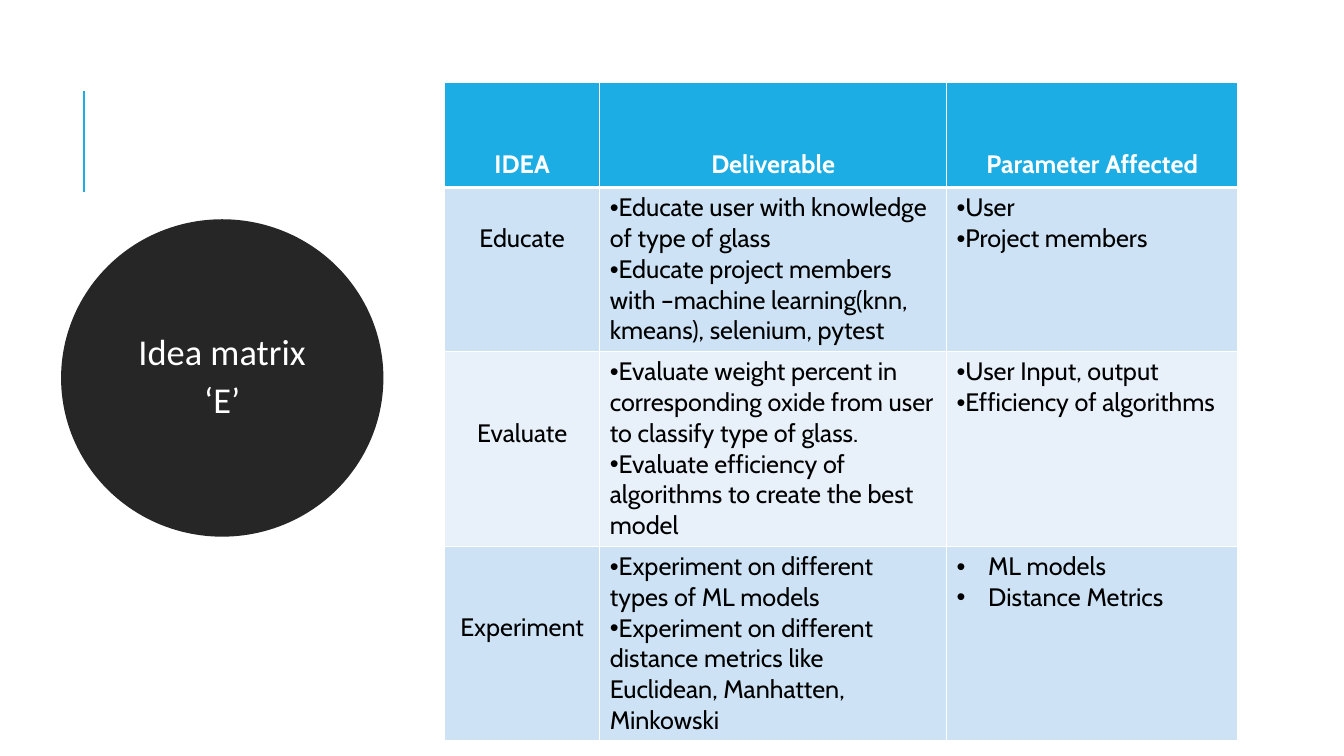
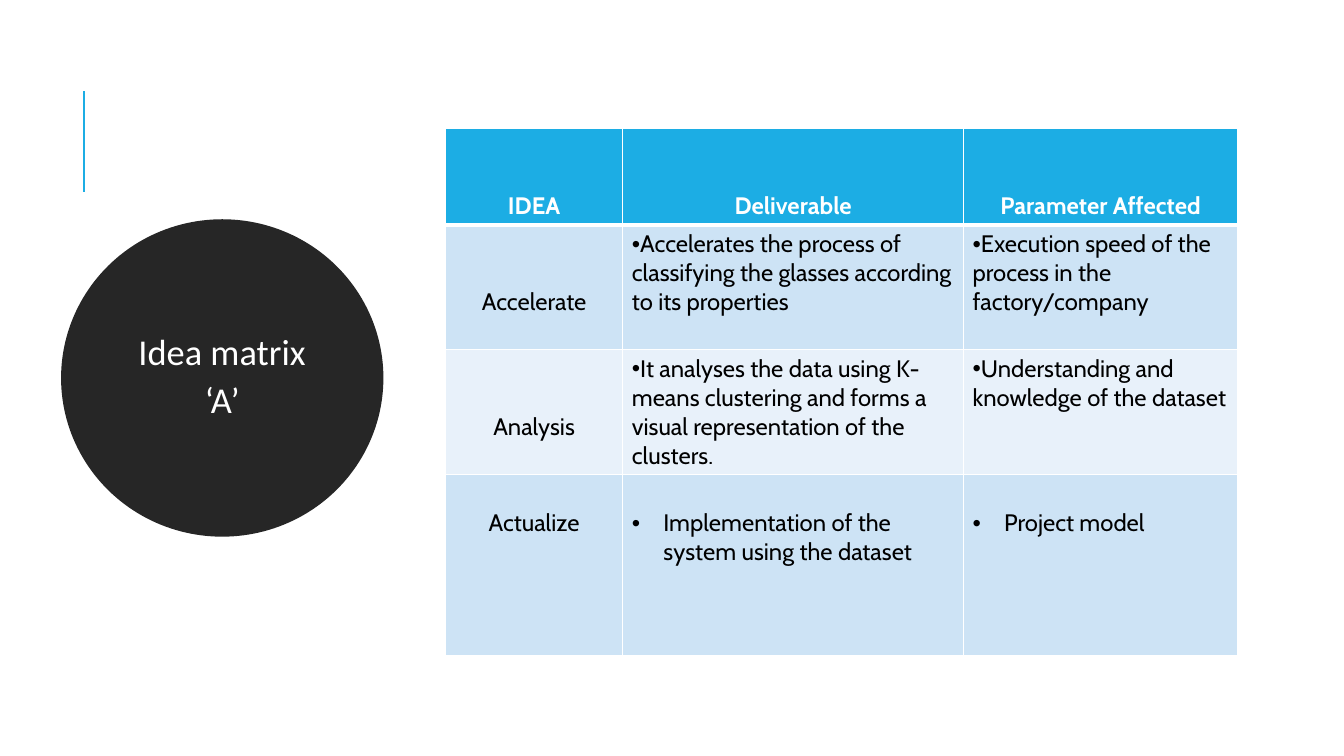
from dataclasses import dataclass

from lxml import etree
from pptx import Presentation
from pptx.dml import color
from pptx.enum import shapes, text
from pptx.oxml import ns
from pptx.util import Pt


@dataclass(frozen=True)
class Theme:
    accent: str = "1CADE4"
    dark: str = "262626"
    white: str = "FFFFFF"
    black: str = "000000"
    bands: tuple = ("CDE3F5", "E8F1FA")
    title_font: str = "Calibri"
    table_font: str = "Cabin"
    title_size: float = 26
    line_factor: float = 1.22
    thin_border: float = 1
    thick_border: float = 3
    hanging_indent: float = 22.5


@dataclass(frozen=True)
class Entry:
    """Content of one table cell; gap is the number of text lines left free above it."""
    lines: tuple
    gap: int = 0
    bullets: bool = True
    hanging: bool = False


@dataclass(frozen=True)
class Matrix:
    letter: str
    left: float
    top: float
    columns: tuple
    heights: tuple
    size: float
    margins: tuple
    rows: tuple


THEME = Theme()
HEADINGS = ("IDEA", "Deliverable", "Parameter Affected")


def label(name, gap):
    return Entry((name,), gap, bullets=False)


def points(*lines):
    return Entry(lines)


def hanging_points(*lines, gap=0):
    return Entry(lines, gap, hanging=True)


MATRICES = (
    Matrix(
        "E", 317.5, 59, (110.9, 247.7, 208.1), (75, 117, 139, 139), 18, (7.2, 3.6),
        (
            (label("Educate", 1),
             points("Educate user with knowledge of type of glass",
                    "Educate project members with –machine learning(knn, kmeans), "
                    "selenium, pytest"),
             points("User", "Project members")),
            (label("Evaluate", 2),
             points("Evaluate weight percent in corresponding oxide from user "
                    "to classify type of glass.",
                    "Evaluate efficiency of algorithms to create the best model"),
             points("User Input, output", "Efficiency of algorithms")),
            (label("Experiment", 2),
             points("Experiment on different types of ML models",
                    "Experiment on different distance metrics like Euclidean, "
                    "Manhatten, Minkowski"),
             hanging_points("ML models", "Distance Metrics")),
        ),
    ),
    Matrix(
        "A", 318.2, 91.8, (126.7, 243.4, 195.8), (69, 89, 89, 129), 17, (6.5, 3.2),
        (
            (label("Accelerate", 2),
             points("Accelerates the process of classifying the glasses "
                    "according to its properties"),
             points("Execution speed of the process in the factory/company")),
            (label("Analysis", 2),
             points("It analyses the data using K-means clustering and forms "
                    "a visual representation of the clusters."),
             points("Understanding and knowledge of the dataset")),
            (label("Actualize", 1),
             hanging_points("Implementation of the system using the dataset", gap=1),
             hanging_points("Project model", gap=1)),
        ),
    ),
)


def rgb(value):
    return color.RGBColor.from_string(value)


def style_font(font, name, size, shade, bold=False):
    font.name, font.size, font.bold = name, Pt(size), bold
    font.color.rgb = rgb(shade)


def add_accent_line(page):
    line = page.shapes.add_connector(
        shapes.MSO_CONNECTOR.STRAIGHT, Pt(60), Pt(137), Pt(60), Pt(65))
    line.line.color.rgb = rgb(THEME.accent)
    line.line.width = Pt(1.5)
    etree.SubElement(line._element.spPr, ns.qn("a:effectLst"))


def add_title_disc(page, lines):
    disc = page.shapes.add_shape(
        shapes.MSO_SHAPE.OVAL, Pt(50.5), Pt(163.5), Pt(216.5), Pt(213))
    disc.shadow.inherit = False
    disc.fill.solid()
    disc.fill.fore_color.rgb = rgb(THEME.dark)
    disc.line.color.rgb = rgb(THEME.dark)
    disc.line.width = Pt(13.75)
    frame = disc.text_frame
    frame.word_wrap = True
    frame.vertical_anchor = text.MSO_ANCHOR.MIDDLE
    frame.text = "\n".join(lines)
    for para in frame.paragraphs:
        para.alignment = text.PP_ALIGN.CENTER
        para.line_spacing = 0.9
        para.space_after = Pt(6)
        for span in para.runs:
            style_font(span.font, THEME.title_font, THEME.title_size, THEME.white)


def set_bullet(para, indent):
    properties = para._p.get_or_add_pPr()
    properties.set("marL", str(Pt(indent)))
    properties.set("indent", str(-Pt(indent)))
    etree.SubElement(properties, ns.qn("a:buFont"), typeface="Arial")
    etree.SubElement(properties, ns.qn("a:buChar"), char="•")


def set_borders(cell, row):
    """Draw white cell edges, with a thicker one under the heading row."""
    thick_edge = {0: "B", 1: "T"}.get(row)
    properties = cell._tc.get_or_add_tcPr()
    for edge in "LRTB":
        width = THEME.thick_border if edge == thick_edge else THEME.thin_border
        border = etree.SubElement(properties, ns.qn(f"a:ln{edge}"), w=str(Pt(width)))
        fill = etree.SubElement(border, ns.qn("a:solidFill"))
        etree.SubElement(fill, ns.qn("a:srgbClr"), val=THEME.white)


def fill_cell(cell, entry, row, matrix):
    heading = row == 0
    set_borders(cell, row)
    cell.fill.solid()
    cell.fill.fore_color.rgb = rgb(THEME.accent if heading else THEME.bands[(row - 1) % 2])
    side, edge = matrix.margins
    cell.margin_left = cell.margin_right = Pt(side)
    cell.margin_top = Pt(edge + entry.gap * matrix.size * THEME.line_factor)
    cell.margin_bottom = Pt(edge)
    cell.text_frame.text = "\n".join(entry.lines)
    for para in cell.text_frame.paragraphs:
        if entry.bullets:
            para.alignment = text.PP_ALIGN.LEFT
            set_bullet(para, THEME.hanging_indent if entry.hanging else 0)
        else:
            para.alignment = text.PP_ALIGN.CENTER
        for span in para.runs:
            style_font(span.font, THEME.table_font, matrix.size,
                       THEME.white if heading else THEME.black, heading)


def add_matrix_table(page, matrix):
    rows = (tuple(label(name, 2) for name in HEADINGS), *matrix.rows)
    table = page.shapes.add_table(
        len(rows), len(HEADINGS), Pt(matrix.left), Pt(matrix.top),
        Pt(sum(matrix.columns)), Pt(sum(matrix.heights))).table
    table.horz_banding = False
    for column, width in zip(table.columns, matrix.columns):
        column.width = Pt(width)
    for table_row, height in zip(table.rows, matrix.heights):
        table_row.height = Pt(height)
    for row, entries in enumerate(rows):
        for column, entry in enumerate(entries):
            fill_cell(table.cell(row, column), entry, row, matrix)


def main():
    deck = Presentation()
    deck.slide_width, deck.slide_height = Pt(960), Pt(540)
    for matrix in MATRICES:
        page = deck.slides.add_slide(deck.slide_layouts[6])
        add_accent_line(page)
        add_title_disc(page, ("Idea matrix", f"‘{matrix.letter}’"))
        add_matrix_table(page, matrix)
    deck.save("out.pptx")


if __name__ == "__main__":
    main()
